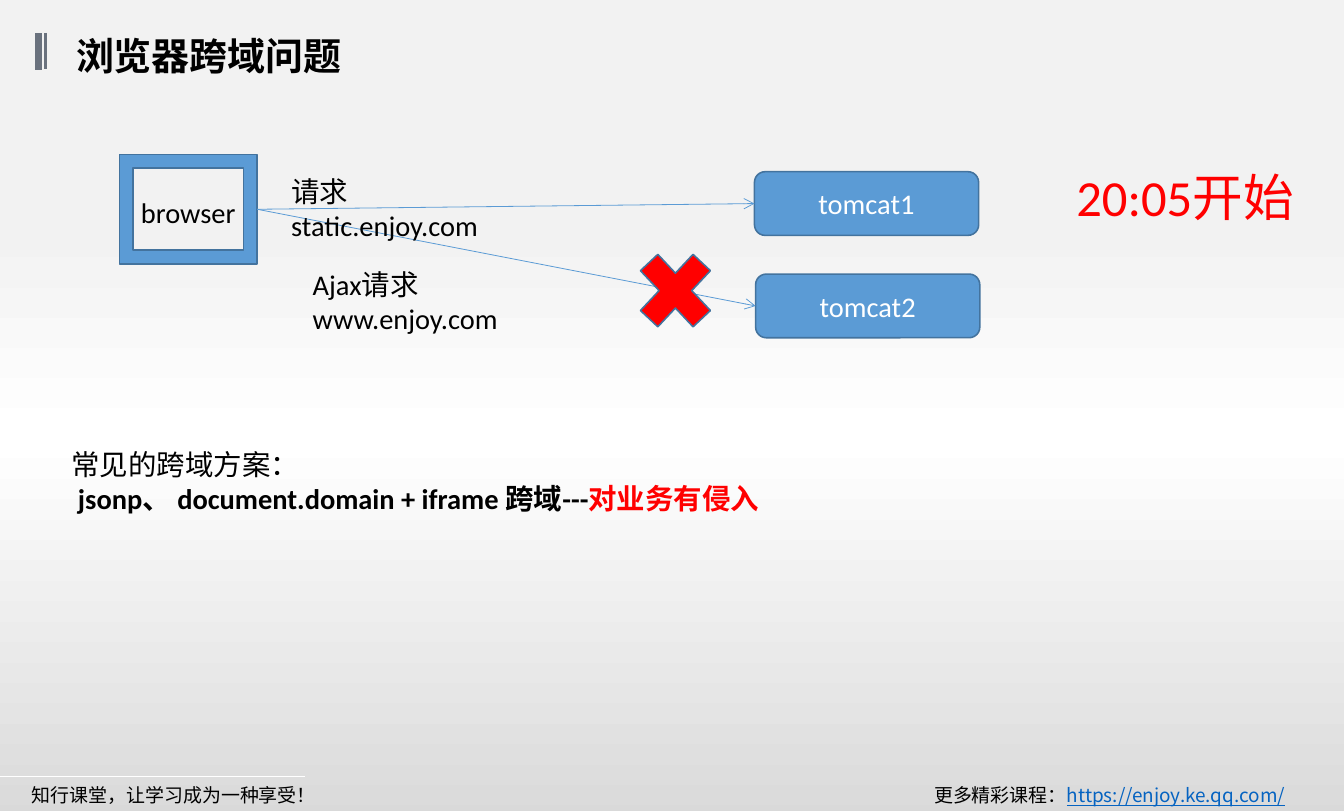
import copy
import itertools
from dataclasses import dataclass

import pptx
import pptx.dml.color
import pptx.enum.dml
import pptx.enum.shapes
import pptx.enum.text
import pptx.oxml
import pptx.oxml.ns
import pptx.util

Inches = pptx.util.Inches
Shapes = pptx.enum.shapes.MSO_SHAPE
COLORS = {
    "black": "000000", "white": "FFFFFF", "red": "FF0000", "link": "0563C1",
    "blue": "5B9BD5", "outline": "43739E", "bar": "6A727E",
    "light": "F2F2F2", "shade": "D9D9D9",
}
BACKDROP_STOPS = ((29, "light"), (54, "white"), (100, "shade"))


@dataclass
class Run:
    text: str
    color: str = "black"
    bold: bool = False
    underline: bool = False


@dataclass
class Label:
    left: float
    top: float
    width: float
    height: float
    paragraphs: list[list[Run]]
    size: int = 18
    font: str = "Calibri"
    wrap: bool = True


@dataclass
class Node:
    kind: int
    left: float
    top: float
    width: float
    height: float
    fill: str = "blue"
    text: str = ""


FOOTERS = [
    Label(0.18, 6.84, 3.54, 0.3, [[Run("知行课堂，让学习成为一种享受！")]],
          12, "Noto Sans CJK SC"),
    Label(8.11, 6.84, 3.71, 0.3,
          [[Run("更多精彩课程："),
            Run("https://enjoy.ke.qq.com/", "link", underline=True)]],
          12, "Noto Sans CJK SC"),
]
BROWSER = Node(Shapes.FRAME, 1.05, 1.36, 1.21, 0.96)
SERVERS = [
    Node(Shapes.ROUNDED_RECTANGLE, 6.63, 1.51, 1.97, 0.56, text="tomcat1"),
    Node(Shapes.ROUNDED_RECTANGLE, 6.64, 2.41, 1.97, 0.56, text="tomcat2"),
]
BLOCKED = Node(Shapes.MATH_MULTIPLY, 5.49, 2.08, 0.89, 0.95, "red")
LABELS = [
    Label(1.14, 1.67, 1.11, 0.4, [[Run("browser")]]),
    Label(2.46, 1.48, 2.3, 0.71, [[Run("请求static.enjoy.com")]]),
    Label(2.65, 2.3, 2.74, 0.71, [[Run("Ajax请求www.enjoy.com")]]),
    Label(0.53, 3.88, 6.31, 1.01, [
        [Run("常见的跨域方案：")],
        [Run(" "),
         Run("jsonp、 document.domain + iframe 跨域---", bold=True),
         Run("对业务有侵入", "red", bold=True)],
    ]),
    Label(0.57, 0.24, 2.57, 0.5, [[Run("浏览器跨域问题", bold=True)]], 24,
          wrap=False),
    Label(9.36, 1.41, 2.13, 0.64, [[Run("20:05开始", "red")]], 32),
]


def rgb(name: str) -> pptx.dml.color.RGBColor:
    return pptx.dml.color.RGBColor.from_string(COLORS[name])


def add_run(para, run: Run, size: int, font: str) -> None:
    span = para.add_run()
    span.text = run.text
    span.font.size = pptx.util.Pt(size)
    span.font.name = font
    span.font.bold = run.bold
    span.font.underline = run.underline
    span.font.color.rgb = rgb(run.color)
    east_asian = pptx.oxml.parse_xml(
        f'<a:ea {pptx.oxml.ns.nsdecls("a")} typeface="Noto Sans CJK SC"/>')
    span.font._element.find(pptx.oxml.ns.qn("a:latin")).addnext(east_asian)


def add_label(page, label: Label) -> None:
    box = page.shapes.add_textbox(Inches(label.left), Inches(label.top),
                                  Inches(label.width), Inches(label.height))
    frame = box.text_frame
    frame.word_wrap = label.wrap
    frame.auto_size = pptx.enum.text.MSO_AUTO_SIZE.SHAPE_TO_FIT_TEXT
    for index, runs in enumerate(label.paragraphs):
        para = frame.add_paragraph() if index else frame.paragraphs[0]
        for run in runs:
            add_run(para, run, label.size, label.font)


def add_node(page, node: Node):
    shape = page.shapes.add_shape(node.kind, Inches(node.left), Inches(node.top),
                                  Inches(node.width), Inches(node.height))
    shape.shadow.inherit = False
    shape.fill.solid()
    shape.fill.fore_color.rgb = rgb(node.fill)
    shape.line.color.rgb = rgb("outline")
    shape.line.width = pptx.util.Pt(1)
    if node.text:
        shape.text_frame.vertical_anchor = pptx.enum.text.MSO_ANCHOR.MIDDLE
        para = shape.text_frame.paragraphs[0]
        para.alignment = pptx.enum.text.PP_ALIGN.CENTER
        add_run(para, Run(node.text, "white"), 18, "Calibri")
    return shape


def add_line(page, start: tuple[float, float], end: tuple[float, float],
             color: str, width: float):
    line = page.shapes.add_connector(
        pptx.enum.shapes.MSO_CONNECTOR.STRAIGHT,
        *(Inches(value) for value in start + end))
    line.line.color.rgb = rgb(color)
    line.line.width = pptx.util.Pt(width)
    line._element.spPr.append(pptx.oxml.parse_xml(
        f'<a:effectLst {pptx.oxml.ns.nsdecls("a")}/>'))
    return line


def add_request(page, source, target) -> None:
    arrow = add_line(page, (0, 0), (1, 1), "blue", 0.5)
    arrow.begin_connect(source, 3)
    arrow.end_connect(target, 1)
    arrow.line._get_or_add_ln().append(pptx.oxml.parse_xml(
        f'<a:tailEnd {pptx.oxml.ns.nsdecls("a")} type="arrow"/>'))


def add_backdrop(page) -> None:
    shape = add_node(page, Node(Shapes.RECTANGLE, -0.08, -0.15, 12, 7.41))
    shape.line.fill.background()
    shape.fill.gradient()
    shape.fill.gradient_angle = 270
    stops = shape._element.spPr.find(
        pptx.oxml.ns.qn("a:gradFill")).find(pptx.oxml.ns.qn("a:gsLst"))
    stops.append(copy.deepcopy(stops[-1]))
    for stop, (position, color) in zip(shape.fill.gradient_stops, BACKDROP_STOPS):
        stop.position = position / 100
        stop.color.rgb = rgb(color)


def main() -> None:
    deck = pptx.Presentation()
    deck.slide_width = Inches(11.81)
    deck.slide_height = Inches(7.13)
    page = deck.slides.add_slide(deck.slide_layouts[6])

    add_backdrop(page)
    for footer in FOOTERS:
        add_label(page, footer)
    add_line(page, (0, 6.83), (2.68, 6.83), "white", 0.5)
    for top, (left, length, width) in itertools.product(
            (0.3, 0.29), ((0.34, 0.32, 4.5), (0.4, 0.31, 1.5))):
        add_line(page, (left, top), (left, top + length), "bar", width)

    browser = add_node(page, BROWSER)
    for server in SERVERS:
        add_request(page, browser, add_node(page, server))
    add_node(page, BLOCKED)
    for label in LABELS:
        add_label(page, label)
    deck.save("out.pptx")


if __name__ == "__main__":
    main()
